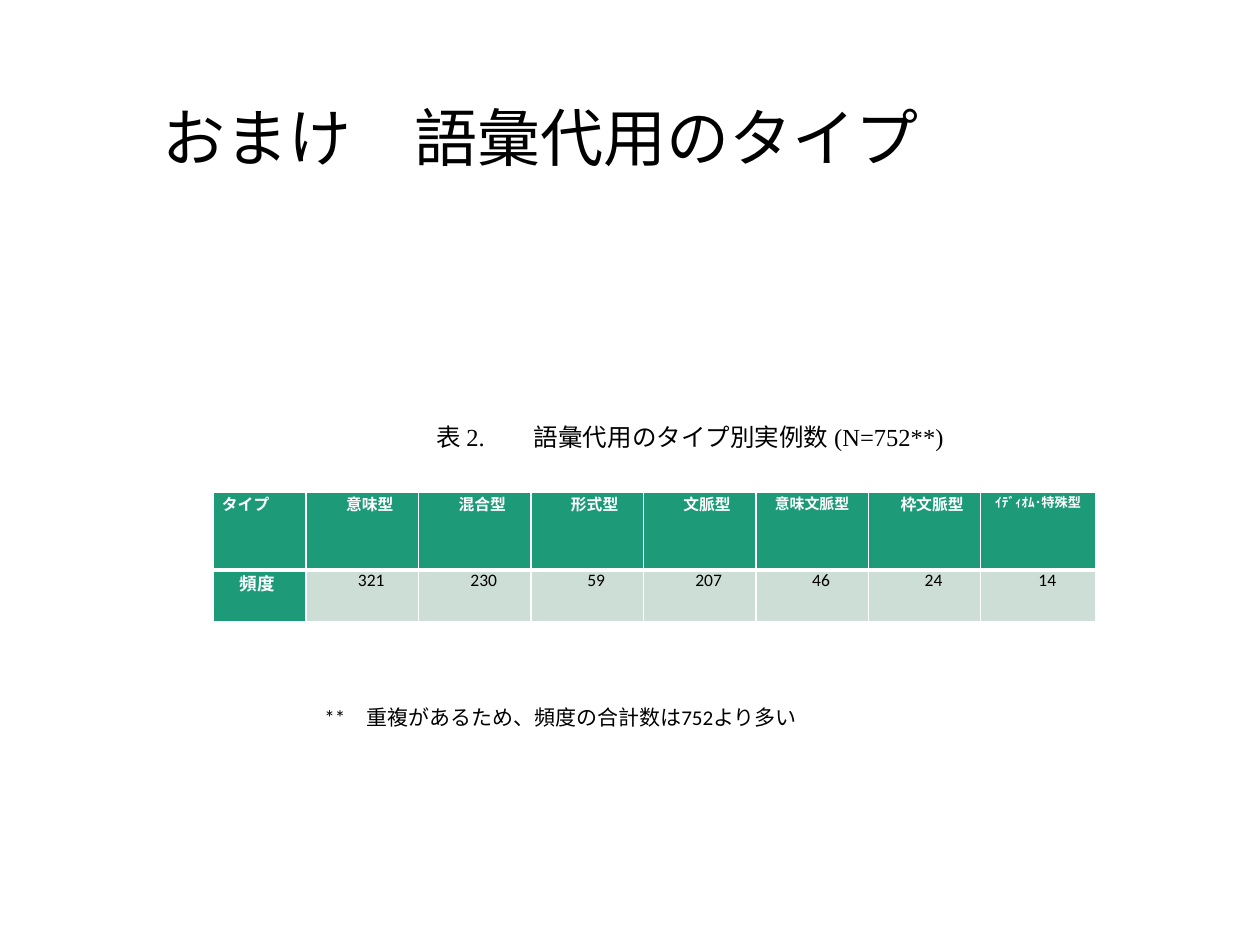
from lxml.etree import SubElement
from pptx import Presentation
from pptx.dml.color import RGBColor
from pptx.enum.text import MSO_ANCHOR as Anchor, PP_ALIGN as Align
from pptx.oxml.ns import qn
from pptx.util import Pt

COLORS = {"ink": "000000", "paper": "FFFFFF", "header": "1D9A78", "value": "CDDED6"}


def px(length):
    """Turn px, at 126 to the inch, into EMU."""
    return round(length * 914400 / 126)


def write(frame, text, size, color="ink", font="Calibri", bold=False, indent=0):
    """Fill and return the first paragraph of a text frame."""
    line = frame.paragraphs[0]
    line.text = text
    properties = line._p.get_or_add_pPr()
    properties.set("marL", "0")
    properties.set("indent", str(px(indent)))
    line.font.size = Pt(size)
    line.font.name = font
    line.font.bold = bold
    line.font.color.rgb = RGBColor.from_string(COLORS[color])
    return line


prs = Presentation()
prs.slide_width, prs.slide_height = px(1260), px(945)
slide = prs.slides.add_slide(prs.slide_layouts[6])

# Title, caption and footnote
title, caption, footnote = [
    slide.shapes.add_textbox(*map(px, place)).text_frame
    for place in ((87, 50, 1086, 183), (362, 416, 615, 118), (312, 698, 525, 38))
]
for frame in (title, caption, footnote):
    frame.word_wrap = True
title.vertical_anchor = Anchor.MIDDLE
write(title, "おまけ　語彙代用のタイプ", 36, indent=63).line_spacing = 0.9
write(footnote, "**　重複があるため、頻度の合計数は752より多い", 12)

# One widened space sets the caption's number apart from its wording
caption_line = write(caption, "表 2.", 14, font="Times New Roman", indent=62)
gap = caption_line.add_run()
gap.text = "　"
gap._r.get_or_add_rPr().set("spc", "1400")
caption_line.add_run().text = "語彙代用のタイプ別実例数 (N=752**)"

# Frequency table: heading, heading size, heading indent, frequency
columns = [
    ("タイプ", 9, 0, "頻度"),
    ("意味型", 9, 15, "321"),
    ("混合型", 9, 15, "230"),
    ("形式型", 9, 15, "59"),
    ("文脈型", 9, 15, "207"),
    ("意味文脈型", 8.5, -13, "46"),
    ("枠文脈型", 9, 15, "24"),
    ("ｲﾃﾞｨｵﾑ･特殊型", 7.5, -13, "14"),
]
table = slide.shapes.add_table(2, len(columns), px(213), px(492), px(883), px(130)).table
table.rows[0].height, table.rows[1].height = px(78), px(52)
widths = [px(93)] + [px(675) // 6] * 6 + [px(115)]

for c, (heading, heading_size, heading_indent, frequency) in enumerate(columns):
    table.columns[c].width = widths[c]
    entries = [(heading, heading_size, heading_indent), (frequency, 10, 18)]
    for r, (text, size, indent) in enumerate(entries):
        cell = table.cell(r, c)
        is_heading = r == 0 or c == 0
        cell.margin_left = cell.margin_right = px(9)
        cell.margin_top = cell.margin_bottom = 0
        line = write(cell.text_frame, text, size, "paper" if is_heading else "ink",
                     bold=is_heading, indent=indent)
        line.alignment = Align.JUSTIFY if c == 0 else Align.CENTER

        # The rule between the two rows is heavier than the others
        heavy_side = "lnB" if r == 0 else "lnT"
        for side in ("lnL", "lnR", "lnT", "lnB"):
            weight = Pt(3 if side == heavy_side else 1)
            border = SubElement(cell._tc.get_or_add_tcPr(), qn(f"a:{side}"), w=str(weight))
            paint = SubElement(border, qn("a:solidFill"))
            SubElement(paint, qn("a:srgbClr"), val=COLORS["paper"])
        cell.fill.solid()
        cell.fill.fore_color.rgb = RGBColor.from_string(
            COLORS["header" if is_heading else "value"])

prs.save("out.pptx")
